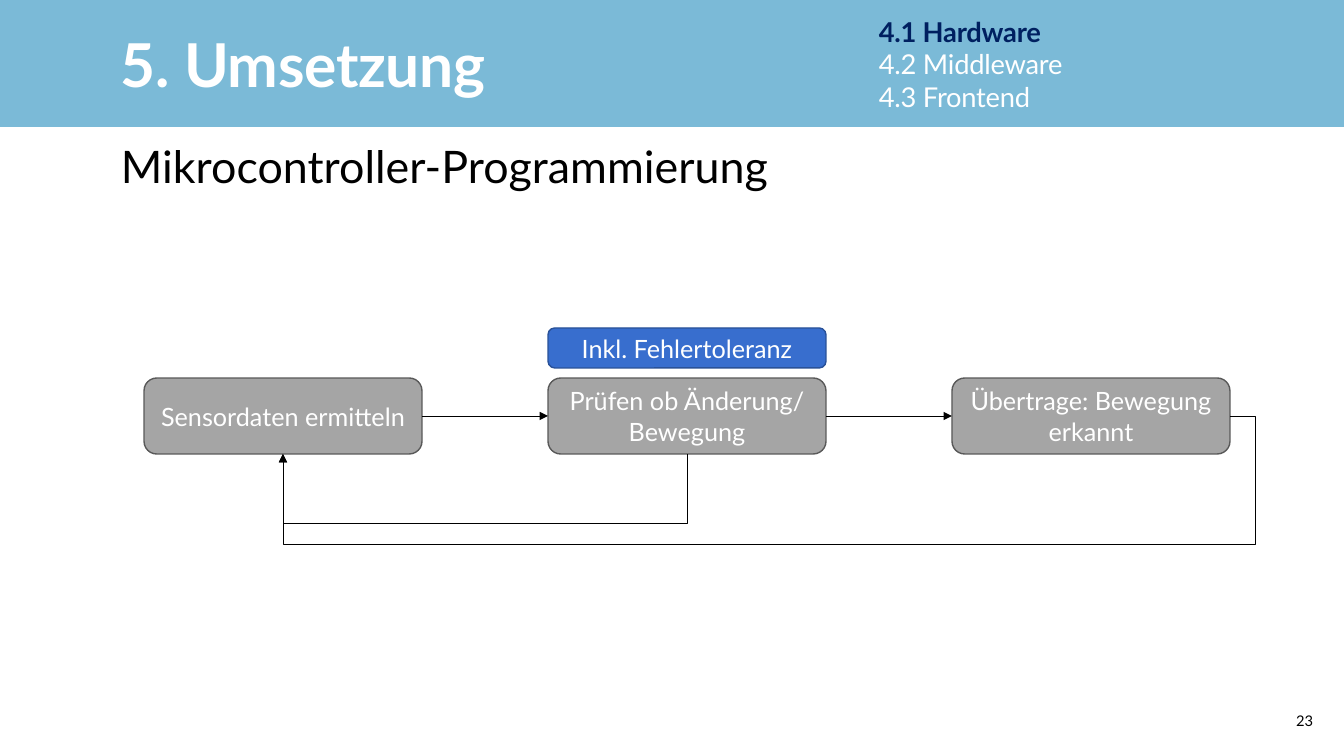
from lxml.etree import SubElement
from pptx import Presentation
from pptx.dml.color import RGBColor
from pptx.enum.shapes import MSO_CONNECTOR, MSO_SHAPE
from pptx.enum.text import MSO_ANCHOR, PP_ALIGN
from pptx.oxml.ns import qn
from pptx.util import Pt

PX = 914400 / 100.8
WIDE, HIGH = 1344, 756
FONT = "Lato"
WHITE = RGBColor(0xFF, 0xFF, 0xFF)
BLACK = RGBColor(0, 0, 0)
SKY = RGBColor(0x7B, 0xBA, 0xD7)
NAVY = RGBColor(0x00, 0x20, 0x60)
GREY = RGBColor(0xA5, 0xA5, 0xA5)
DARK = RGBColor(0x59, 0x59, 0x59)
BLUE = RGBColor(0x38, 0x6E, 0xCE)
EDGE = RGBColor(0x29, 0x51, 0x98)


def px(*vals):
    return [round(v * PX) for v in vals]


def write(shape, text, size, color, align=PP_ALIGN.LEFT, bold=False,
          anchor=MSO_ANCHOR.MIDDLE, wrap=True, space=0):
    frame = shape.text_frame
    frame.text = text
    frame.word_wrap = wrap
    frame.vertical_anchor = anchor
    for para in frame.paragraphs:
        para.alignment = align
        for run in para.runs:
            font = run.font
            font.name, font.size, font.bold = FONT, Pt(size), bold
            font.color.rgb = color
            if space:
                run._r.get_or_add_rPr().set("spc", str(space))
    return frame


def label(slide, box, *args, **opts):
    return write(slide.shapes.add_textbox(*px(*box)), *args, **opts)


def panel(slide, kind, box, fill, edge=None):
    shape = slide.shapes.add_shape(kind, *px(*box))
    shape.shadow.inherit = False
    shape.fill.solid()
    shape.fill.fore_color.rgb = fill
    if edge is None:
        shape.line.fill.background()
    else:
        shape.line.color.rgb = edge
        shape.line.width = Pt(1)
    return shape


def node(slide, box, text, fill, edge):
    shape = panel(slide, MSO_SHAPE.ROUNDED_RECTANGLE, box, fill, edge)
    write(shape, text, 18, WHITE, PP_ALIGN.CENTER)
    return shape


def arrow(shape):
    line = shape.line
    line.color.rgb = BLACK
    line.width = Pt(0.5)
    SubElement(line._get_or_add_ln(), qn("a:tailEnd"), type="triangle")


def link(slide, left, right):
    wire = slide.shapes.add_connector(MSO_CONNECTOR.STRAIGHT, 0, 0, 0, 0)
    wire.begin_connect(left, 3)
    wire.end_connect(right, 1)
    arrow(wire)
    SubElement(wire._element.spPr, qn("a:effectLst"))


def loop(slide, start, *points):
    form = slide.shapes.build_freeform(*start, scale=PX)
    form.add_line_segments(points, close=False)
    shape = form.convert_to_shape()
    shape.shadow.inherit = False
    shape.fill.background()
    arrow(shape)


def header(slide, x, y, w, h):
    panel(slide, MSO_SHAPE.RECTANGLE, (x, y, w, h), SKY)
    label(slide, (x + 111, y + 21, 420, 85), "5. Umsetzung", 43.2, WHITE,
          bold=True, space=-20)
    # Section list with the current section marked
    menu = label(slide, (x + 869, y + 1, w - 869, h - 1),
                 "4.1 Hardware\n4.2 Middleware\n4.3 Frontend", 19.5, WHITE,
                 space=-20)
    font = menu.paragraphs[0].runs[0].font
    font.bold = True
    font.color.rgb = NAVY


def flow(slide, x, y, w, h):
    wide, high = 278, 76
    step = (w - wide) // 2
    top = y + 50
    steps = ("Sensordaten ermitteln", "Prüfen ob Änderung/ Bewegung",
             "Übertrage: Bewegung erkannt")
    nodes = [node(slide, (x + i * step, top, wide, high), text, GREY, DARK)
             for i, text in enumerate(steps)]
    for left, right in zip(nodes, nodes[1:]):
        link(slide, left, right)

    # Paths back to the first step
    base, mid, home = top + high, top + high // 2, x + wide // 2
    check, end = home + step, x + w
    low = y + h
    loop(slide, (check, base), (check, low - 21), (home, low - 21),
         (home, base))
    loop(slide, (end, mid), (end + 25, mid), (end + 25, low), (home, low),
         (home, base))

    # Note above the middle step
    node(slide, (x + step, y, wide, 40), "Inkl. Fehlertoleranz", BLUE, EDGE)


def main():
    deck = Presentation()
    deck.slide_width, deck.slide_height = px(WIDE, HIGH)
    slide = deck.slides.add_slide(deck.slide_layouts[6])
    header(slide, 0, 0, WIDE, 127)
    label(slide, (111, 134, 701, 65), "Mikrocontroller-Programmierung", 32,
          BLACK, anchor=MSO_ANCHOR.TOP, wrap=False)
    flow(slide, 144, 328, 1086, 216)
    # Page number
    label(slide, (1253, 701, 70, 40), "23", 10.5, BLACK, PP_ALIGN.RIGHT)
    deck.save("out.pptx")


if __name__ == "__main__":
    main()
